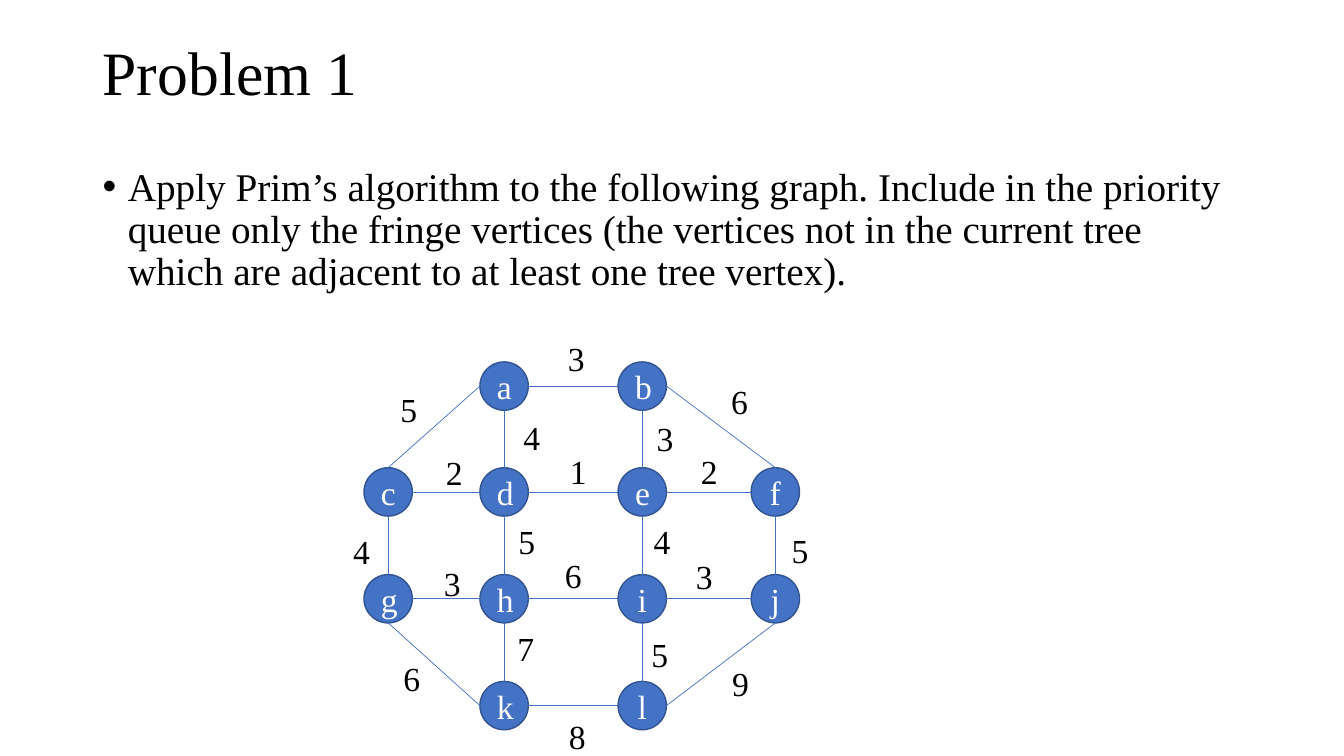
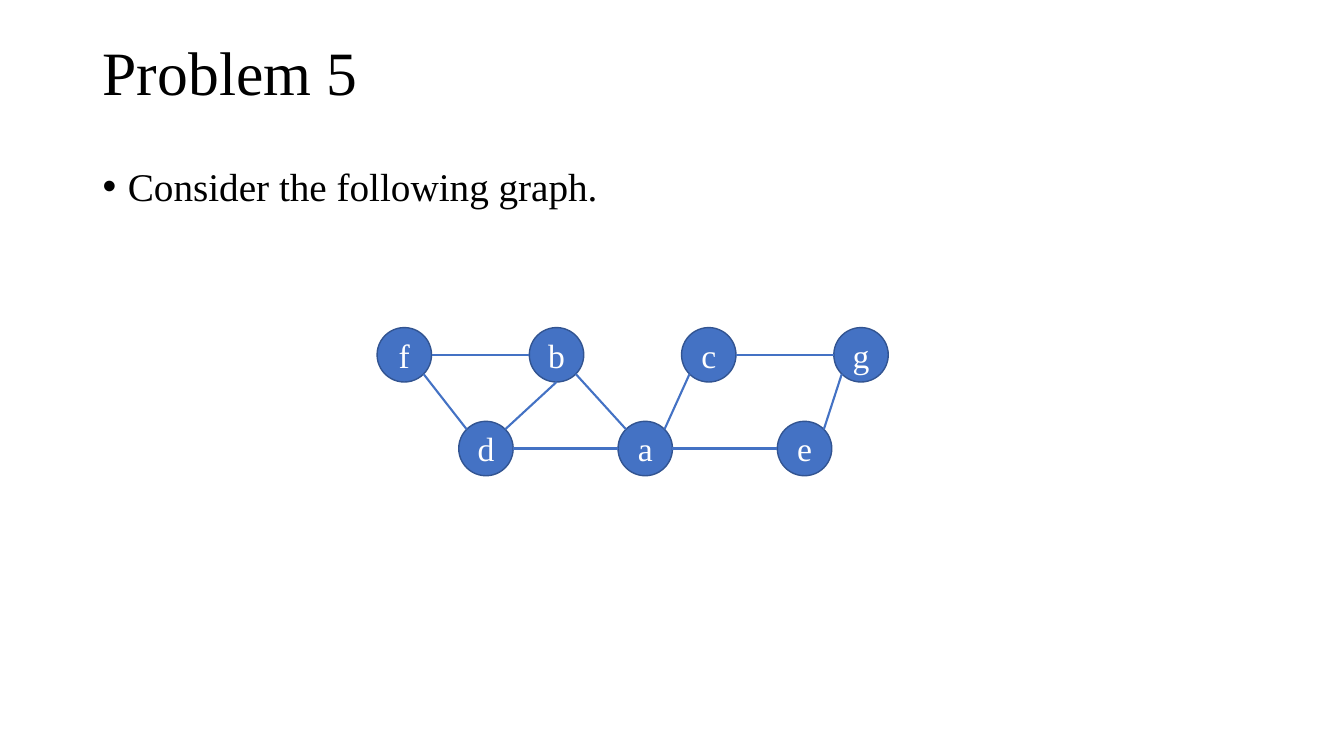
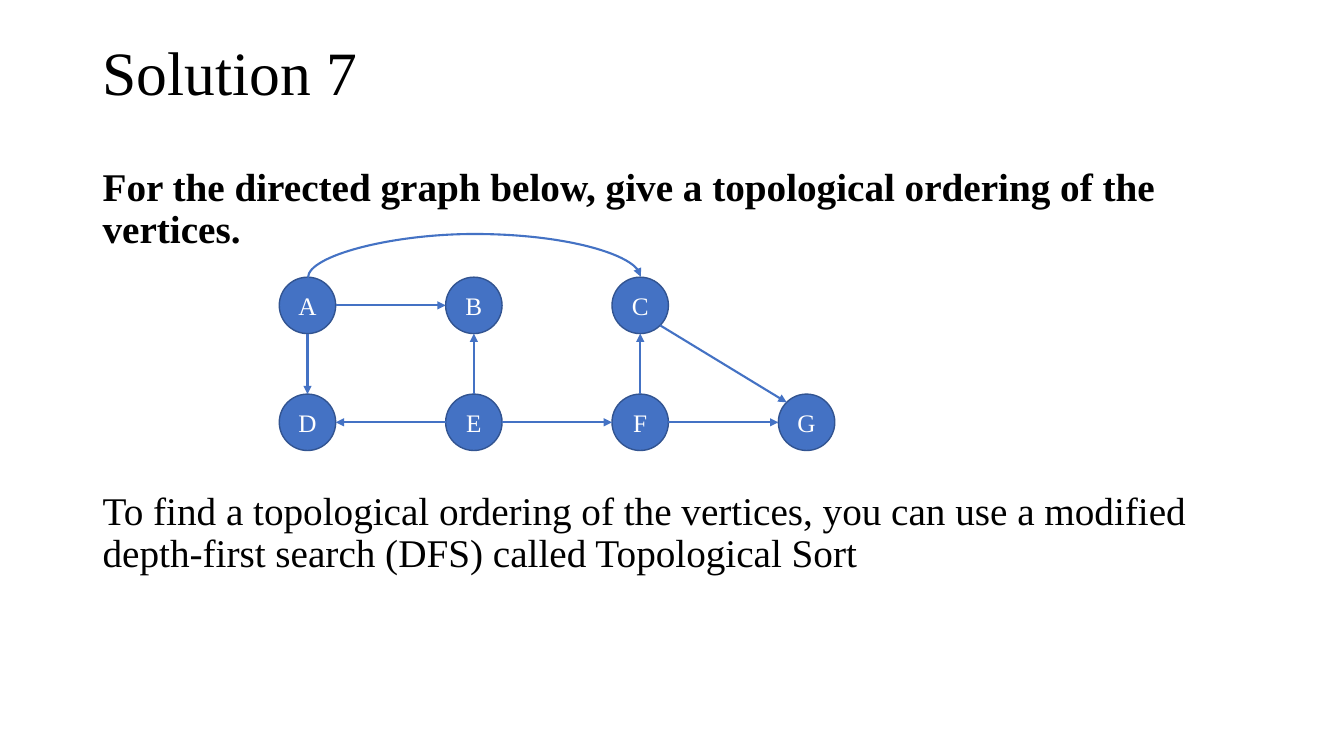
from math import cos, radians, sin

from lxml import etree
from pptx import Presentation
from pptx.dml.color import RGBColor
from pptx.enum.shapes import MSO_CONNECTOR as CONN, MSO_SHAPE
from pptx.enum.text import MSO_ANCHOR as ANCHOR, PP_ALIGN as ALIGN
from pptx.oxml.ns import qn
from pptx.util import Inches, Pt

FONT = "Times New Roman"
BLACK = RGBColor(0x00, 0x00, 0x00)
WHITE = RGBColor(0xFF, 0xFF, 0xFF)
BLUE = RGBColor(0x44, 0x72, 0xC4)
DARK_BLUE = RGBColor(0x32, 0x54, 0x91)

# Connection sites of an ellipse, counter-clockwise from the top
SITES = ["t", "tl", "l", "bl", "b", "br", "r", "tr"]


def write(shape, text, size, color=BLACK, first=True, bold=False, **paragraph):
    """Put text in the first paragraph of a shape, or in a new one, and return it."""
    tf = shape.text_frame
    p = tf.paragraphs[0] if first else tf.add_paragraph()
    for name, value in paragraph.items():
        setattr(p, name, value)
    r = p.add_run()
    r.text = text
    formats = {"name": FONT, "size": Pt(size), "bold": bold}
    for name, value in formats.items():
        setattr(r.font, name, value)
    r.font.color.rgb = color
    return p


def connect(s, nodes, edge, width, arrow):
    """Draw an edge such as 'a:r b:l' between sites of two nodes."""
    ends, points = [end.split(":") for end in edge.split()], []
    for name, site in ends:
        node = nodes[name]
        angle = radians(90 + 45 * SITES.index(site))
        radius = node.width / 2
        points.append((int(node.left + radius * (1 + cos(angle))),
                       int(node.top + radius * (1 - sin(angle)))))
    (x1, y1), (x2, y2) = points
    curved = ends[0][1] == ends[1][1] == "t"
    if curved:
        # An arch is a thin upright curve, turned by a quarter
        mid, half, thin = (x1 + x2) // 2, (x2 - x1) // 2, Inches(0.01)
        line = s.shapes.add_connector(CONN.CURVE, mid + thin, y1 + half, mid, y1 - half)
        line._element.spPr.find(qn("a:xfrm")).set("rot", "5400000")
        guides = line._element.spPr.find(qn("a:prstGeom")).get_or_add_avLst()
        rise = Inches(0.44) * 100000 // thin
        etree.SubElement(guides, qn("a:gd"), name="adj1", fmla=f"val {rise}")
    else:
        line = s.shapes.add_connector(CONN.STRAIGHT, x1, y1, x2, y2)
    glue = line._element.find(qn("p:nvCxnSpPr")).find(qn("p:cNvCxnSpPr"))
    for tag, (name, site) in zip(("a:stCxn", "a:endCxn"), ends):
        etree.SubElement(glue, qn(tag), id=str(nodes[name].shape_id),
                         idx=str(SITES.index(site)))
    line.line.color.rgb = BLUE
    line.line.width = Pt(width)
    if arrow:
        ln = line.line._get_or_add_ln()
        etree.SubElement(ln, qn("a:tailEnd"), type="triangle")
    etree.SubElement(line._element.spPr, qn("a:effectLst"))


# Node rows: names, top, lefts. Edges: sites, then weight with its left and top.
COLUMNS = [3.61, 4.76, 6.13, 7.45]
SLIDES = [
    {
        "title": "Problem 1",
        "body": ["Apply Prim’s algorithm to the following graph. Include in the priority "
                 "queue only the fringe vertices (the vertices not in the current tree "
                 "which are adjacent to at least one tree vertex)."],
        "bullet": True, "diameter": 0.48, "size": 24, "width": 0.5, "arrow": False,
        "rows": [("ab", 3.59, COLUMNS[1:3]), ("cdef", 4.64, COLUMNS),
                 ("ghij", 5.7, COLUMNS), ("kl", 6.76, COLUMNS[1:3])],
        "edges": [
            ("a:r b:l", "3", 5.53, 3.3), ("c:t a:l", "5", 3.87, 3.81),
            ("d:t a:b", "4", 5.09, 4.09), ("g:t c:b", "4", 3.4, 5.22),
            ("f:t b:r", "6", 7.15, 3.73), ("e:t b:b", "3", 6.41, 4.1),
            ("h:t d:b", "5", 5.04, 5.12), ("i:t e:b", "4", 6.38, 5.12),
            ("j:t f:b", "5", 7.75, 5.21), ("k:t h:b", "7", 5.03, 6.18),
            ("l:t i:b", "5", 6.36, 6.24), ("k:r l:l", "8", 5.54, 7.05),
            ("h:r i:l", "6", 5.5, 5.46), ("g:r h:l", "3", 4.3, 5.54),
            ("l:r j:b", "9", 7.16, 6.53), ("g:b k:l", "6", 3.9, 6.48),
            ("i:r j:l", "3", 6.8, 5.47), ("c:r d:l", "2", 4.32, 4.43),
            ("d:r e:l", "1", 5.55, 4.42), ("e:r f:l", "2", 6.85, 4.42),
        ],
    },
    {
        "title": "Problem 5",
        "body": ["Consider the following graph."],
        "bullet": True, "diameter": 0.54, "size": 24, "width": 1.5, "arrow": False,
        "rows": [("fbcg", 3.25, [3.74 + 1.51 * i for i in range(4)]),
                 ("dae", 4.18, [4.55 + 1.58 * i for i in range(3)])],
        "edges": [("f:br d:tl",), ("d:tr b:b",), ("b:l f:r",), ("d:r a:l",), ("a:tl b:br",),
                  ("a:tr c:bl",), ("a:r e:l",), ("e:tr g:bl",), ("g:l c:r",)],
    },
    {
        "title": "Solution 7",
        "body": ["For the directed graph below, give a topological ordering of the vertices.",
                 "To find a topological ordering of the vertices, you can use a modified "
                 "depth-first search (DFS) called Topological Sort"],
        "bullet": False, "diameter": 0.56, "size": 18, "width": 1.5, "arrow": True,
        "rows": [("ABC", 2.75, [2.77 + 1.65 * i for i in range(3)]),
                 ("DEFG", 3.91, [2.77 + 1.65 * i for i in range(4)])],
        "edges": [("A:r B:l",), ("A:b D:t",), ("E:l D:r",), ("E:t B:b",), ("E:r F:l",),
                  ("F:t C:b",), ("F:r G:l",), ("C:br G:tl",), ("A:t C:t",)],
    },
]

prs = Presentation()
prs.slide_width, prs.slide_height = Inches(13.33), Inches(7.5)

for spec_of in SLIDES:
    s = prs.slides.add_slide(prs.slide_layouts[6])

    title = s.shapes.add_textbox(Inches(0.92), Inches(0.02), Inches(11.5), Inches(1.45))
    title.text_frame.word_wrap = True
    title.text_frame.vertical_anchor = ANCHOR.MIDDLE
    write(title, spec_of["title"], 44, line_spacing=0.9)

    body = s.shapes.add_textbox(Inches(0.92), Inches(1.61), Inches(11.5), Inches(5.14))
    body.text_frame.word_wrap = True
    for i, text in enumerate(spec_of["body"]):
        # The second paragraph starts below the graph
        p = write(body, text, 28, first=i == 0, bold=i == 0 and not spec_of["bullet"],
                  line_spacing=0.9, space_before=Pt(171 if i else 10))
        if spec_of["bullet"]:
            pPr = p._p.get_or_add_pPr()
            pPr.set("marL", str(Inches(0.25)))
            pPr.set("indent", str(-Inches(0.25)))
            etree.SubElement(pPr, qn("a:buFont"), typeface="Arial")
            etree.SubElement(pPr, qn("a:buChar"), char="•")

    nodes = {}
    diameter = Inches(spec_of["diameter"])
    for names, top, lefts in spec_of["rows"]:
        for name, left in zip(names, lefts):
            node = s.shapes.add_shape(MSO_SHAPE.OVAL, Inches(left), Inches(top),
                                      diameter, diameter)
            node.shadow.inherit = False
            node.fill.solid()
            node.fill.fore_color.rgb = BLUE
            node.line.color.rgb = DARK_BLUE
            node.line.width = Pt(1)
            node.text_frame.vertical_anchor = ANCHOR.MIDDLE
            write(node, name, spec_of["size"], WHITE, alignment=ALIGN.CENTER)
            nodes[name] = node

    for edge, *weight in spec_of["edges"]:
        connect(s, nodes, edge, spec_of["width"], spec_of["arrow"])
        if weight:
            text, left, top = weight
            label = s.shapes.add_textbox(Inches(left), Inches(top), Inches(0.37), Inches(0.5))
            label.text_frame.word_wrap = False
            write(label, text, 24, alignment=ALIGN.CENTER)

prs.save("out.pptx")
